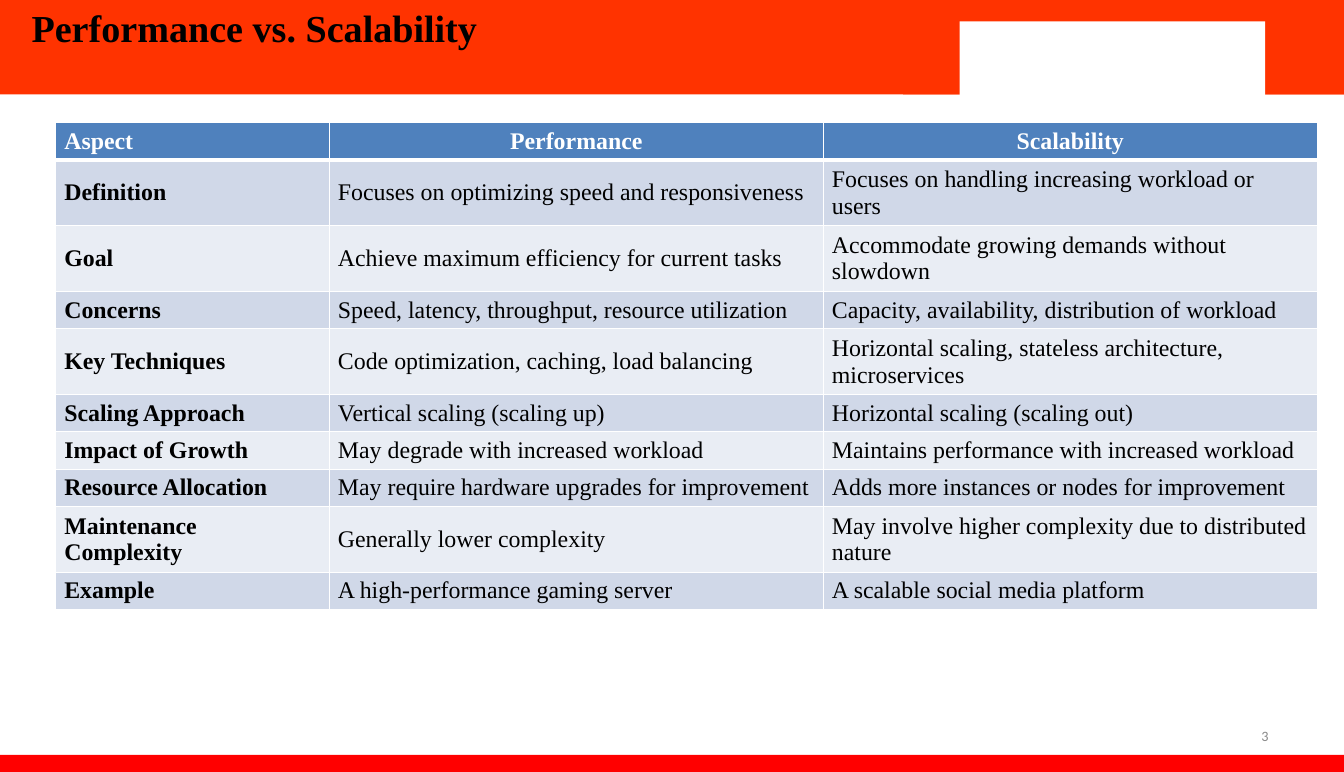
from dataclasses import dataclass

from lxml import etree
from pptx import Presentation
from pptx.dml.color import RGBColor
from pptx.enum.shapes import MSO_SHAPE
from pptx.enum.text import MSO_ANCHOR, PP_ALIGN
from pptx.oxml.ns import qn
from pptx.util import Pt

RECT = MSO_SHAPE.RECTANGLE
TOP, MIDDLE = MSO_ANCHOR.TOP, MSO_ANCHOR.MIDDLE
LEFT, CENTER, RIGHT = PP_ALIGN.LEFT, PP_ALIGN.CENTER, PP_ALIGN.RIGHT

SLIDE_W, SLIDE_H = 1128.24, 648
BAND_H = 79.2
SINGLE_ROW, DOUBLE_ROW = 31.2, 55.2
COLUMN_WIDTHS = (229.7, 414.7, 414.7)


@dataclass(frozen=True)
class Theme:
    serif: str = "Times New Roman"
    sans: str = "Calibri"
    title_size: int = 32
    table_size: int = 20
    number_size: int = 12
    band: str = "FF3300"
    footer: str = "FF0000"
    white: str = "FFFFFF"
    text: str = "000000"
    muted: str = "898989"
    header: str = "4F81BD"
    stripes: tuple = ("D0D8E8", "E9EDF4")


# Each row: height, aspect, performance, scalability
ROWS = [
    (SINGLE_ROW, "Aspect", "Performance", "Scalability"),
    (DOUBLE_ROW, "Definition", "Focuses on optimizing speed and responsiveness",
     "Focuses on handling increasing workload or users"),
    (DOUBLE_ROW, "Goal", "Achieve maximum efficiency for current tasks",
     "Accommodate growing demands without slowdown"),
    (SINGLE_ROW, "Concerns", "Speed, latency, throughput, resource utilization",
     "Capacity, availability, distribution of workload"),
    (DOUBLE_ROW, "Key Techniques", "Code optimization, caching, load balancing",
     "Horizontal scaling, stateless architecture, microservices"),
    (SINGLE_ROW, "Scaling Approach", "Vertical scaling (scaling up)",
     "Horizontal scaling (scaling out)"),
    (SINGLE_ROW, "Impact of Growth", "May degrade with increased workload",
     "Maintains performance with increased workload"),
    (SINGLE_ROW, "Resource Allocation", "May require hardware upgrades for improvement",
     "Adds more instances or nodes for improvement"),
    (DOUBLE_ROW, "Maintenance Complexity", "Generally lower complexity",
     "May involve higher complexity due to distributed nature"),
    (SINGLE_ROW, "Example", "A high-performance gaming server",
     "A scalable social media platform"),
]


class SlideBuilder:
    """Holds the theme and the current slide."""

    def __init__(self, slide, theme):
        self.slide = slide
        self.theme = theme

    def rect(self, x, y, w, h, color):
        sp = self.slide.shapes.add_shape(RECT, Pt(x), Pt(y), Pt(w), Pt(h))
        sp.shadow.inherit = False
        sp.fill.solid()
        sp.fill.fore_color.rgb = RGBColor.from_string(color)
        sp.line.fill.background()

    def fill_text(self, tf, text, color, align=LEFT, **font):
        p = tf.paragraphs[0]
        p.alignment = align
        r = p.add_run()
        r.text = text
        for name, value in font.items():
            setattr(r.font, name, value)
        r.font.color.rgb = RGBColor.from_string(color)

    def text(self, x, y, w, h, text, color, anchor=TOP, **fmt):
        tf = self.slide.shapes.add_textbox(Pt(x), Pt(y), Pt(w), Pt(h)).text_frame
        tf.word_wrap = True
        tf.vertical_anchor = anchor
        self.fill_text(tf, text, color, **fmt)

    def borders(self, cell, **widths):
        """Draw white cell borders; widths are in points, keyed by side."""
        tc_pr = cell._tc.get_or_add_tcPr()
        for side, width in widths.items():
            ln = etree.SubElement(tc_pr, qn(f"a:ln{side}"), w=str(Pt(width)))
            fill = etree.SubElement(ln, qn("a:solidFill"))
            etree.SubElement(fill, qn("a:srgbClr"), val=self.theme.white)

    def table(self, x, y, widths, rows):
        t = self.theme
        height = sum(row[0] for row in rows)
        table = self.slide.shapes.add_table(
            len(rows), len(widths), Pt(x), Pt(y), Pt(sum(widths)), Pt(height)).table
        for column, width in zip(table.columns, widths):
            column.width = Pt(width)
        for i, (row_height, *texts) in enumerate(rows):
            table.rows[i].height = Pt(row_height)
            is_header = i == 0
            fill = t.header if is_header else t.stripes[(i - 1) % 2]
            for j, text in enumerate(texts):
                cell = table.cell(i, j)
                cell.vertical_anchor = MIDDLE
                self.borders(cell, L=1, R=1, T=3 if i == 1 else 1, B=3 if is_header else 1)
                cell.fill.solid()
                cell.fill.fore_color.rgb = RGBColor.from_string(fill)
                self.fill_text(cell.text_frame, text,
                               t.white if is_header else t.text,
                               align=CENTER if is_header and j > 0 else LEFT,
                               name=t.serif, size=Pt(t.table_size),
                               bold=is_header or j == 0)


def main():
    prs = Presentation()
    prs.slide_width, prs.slide_height = Pt(SLIDE_W), Pt(SLIDE_H)
    theme = Theme()
    s = SlideBuilder(prs.slides.add_slide(prs.slide_layouts[6]), theme)

    s.rect(0, 0, SLIDE_W, BAND_H, theme.band)
    s.rect(0, 633.6, SLIDE_W, 18.7, theme.footer)
    s.rect(758.2, 0, SLIDE_W - 758.2, BAND_H, theme.band)
    s.rect(805.7, 18, 256.3, 64.8, theme.white)

    s.text(808.6, 600.5, 263.5, 34.6, "3", theme.muted, anchor=MIDDLE, align=RIGHT,
           name=theme.sans, size=Pt(theme.number_size))
    s.text(19.4, 0, 471.6, 63.4, "Performance vs. Scalability", theme.text,
           name=theme.serif, size=Pt(theme.title_size), bold=True)
    s.table(46.8, 103, COLUMN_WIDTHS, ROWS)

    prs.save("out.pptx")


if __name__ == "__main__":
    main()
